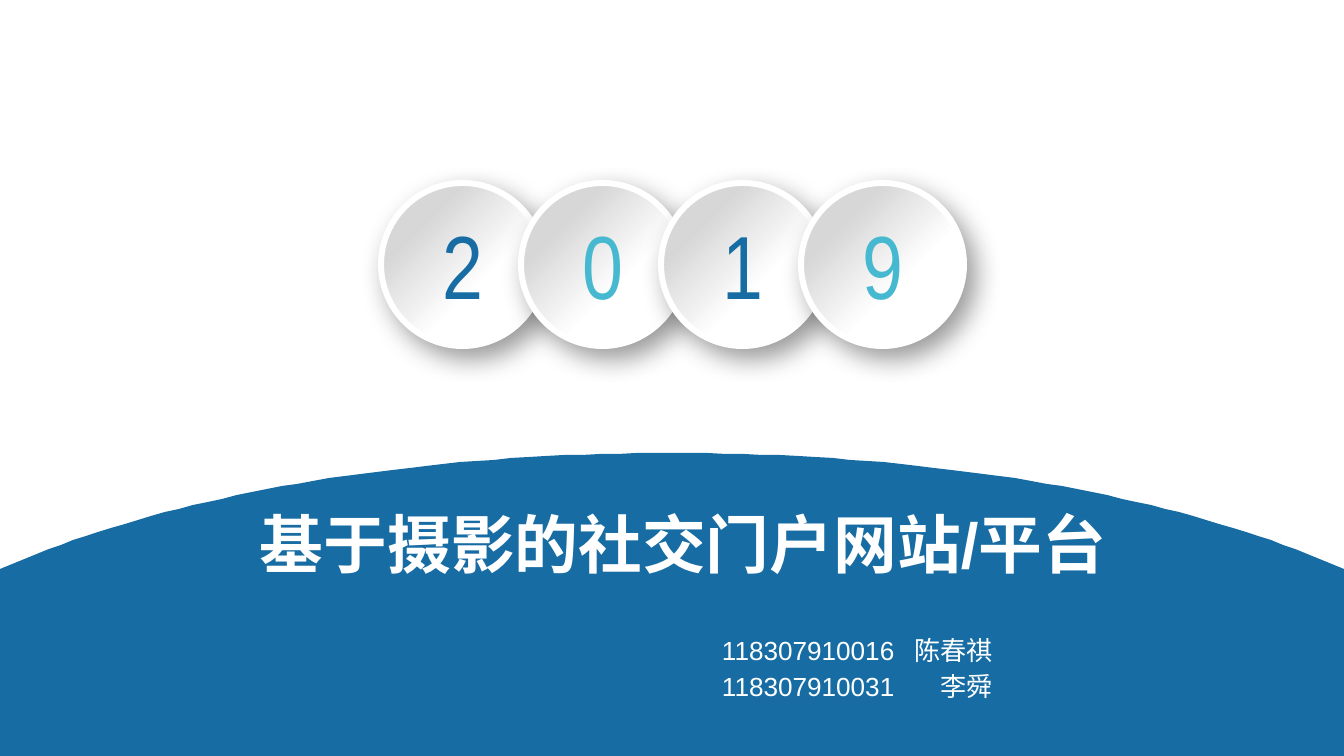
"""Build the 2019 cover slide with four number discs above a blue arc."""

import dataclasses
import typing

import lxml.etree
import pptx
import pptx.dml.color
import pptx.enum.dml
import pptx.enum.shapes
import pptx.enum.text
import pptx.oxml.ns
import pptx.util

RGBColor = pptx.dml.color.RGBColor
BLUE = RGBColor(0x16, 0x6C, 0xA3)
CYAN = RGBColor(0x46, 0xB9, 0xD0)
WHITE = RGBColor(0xFF, 0xFF, 0xFF)
GREY = RGBColor(0xD7, 0xD7, 0xD7)
BLACK = RGBColor(0x00, 0x00, 0x00)

EMU_PER_PX = 9565
SLIDE_WIDTH, SLIDE_HEIGHT = 1344, 756
ARC_CURVE = ((672, 453), (916, 453), (1136, 489), (1295, 549))
ARC_EDGE = ((1344, 569), (1344, 760))
ARC_STEPS = 40
DISC_LEFT, DISC_TOP, DISC_SIZE, DISC_PITCH = 381, 183, 163, 140
DIGIT_INSET, DIGIT_TOP, DIGIT_WIDTH, DIGIT_HEIGHT = 23, 209, 117, 109
NAME_TAB = 271

Alignment = pptx.enum.text.PP_ALIGN
Anchor = pptx.enum.text.MSO_ANCHOR


@dataclasses.dataclass(frozen=True)
class TextBlock:
    """A text box with its place in px and its formats."""

    left: int
    top: int
    width: int
    height: int
    lines: tuple[str, ...]
    font: dict[str, typing.Any]
    color: RGBColor = WHITE
    paragraph: dict[str, typing.Any] = dataclasses.field(default_factory=dict)
    frame: dict[str, typing.Any] = dataclasses.field(default_factory=dict)
    tab: int = 0


@dataclasses.dataclass(frozen=True)
class Disc:
    """One digit of the year and its colour."""

    digit: str
    color: RGBColor


DISCS = (Disc("2", BLUE), Disc("0", CYAN), Disc("1", BLUE), Disc("9", CYAN))


def px(length: int) -> int:
    """Turn px into EMU."""
    return pptx.util.Emu(length * EMU_PER_PX)


TEXT_BLOCKS = (
    TextBlock(
        373, 634, 621, 70,
        ("118307910016\t陈春祺", "118307910031\t李舜"),
        {"name": "Arial", "size": pptx.util.Pt(19.7)},
        paragraph={"alignment": Alignment.LEFT, "space_before": pptx.util.Pt(4)},
        frame={"margin_left": px(349)},
        tab=NAME_TAB,
    ),
    TextBlock(
        210, 505, 946, 77,
        ("基于摄影的社交门户网站/平台",),
        {"name": "Arial", "size": pptx.util.Pt(48), "bold": True},
        paragraph={"alignment": Alignment.CENTER, "space_before": pptx.util.Pt(9.6)},
    ),
)


def set_attributes(target: typing.Any, values: dict[str, typing.Any]) -> None:
    """Set each named format value on the target."""
    for name, value in values.items():
        setattr(target, name, value)


def add_tab_stop(paragraph: typing.Any, position: int) -> None:
    """Give the paragraph a right tab stop."""
    properties = paragraph._p.get_or_add_pPr()
    tab_list = lxml.etree.SubElement(properties, pptx.oxml.ns.qn("a:tabLst"))
    lxml.etree.SubElement(
        tab_list, pptx.oxml.ns.qn("a:tab"), pos=str(px(position)), algn="r"
    )


def add_text(shapes: typing.Any, block: TextBlock) -> None:
    """Draw a text block."""
    box = shapes.add_textbox(
        px(block.left), px(block.top), px(block.width), px(block.height)
    )
    frame = box.text_frame
    margins = {f"margin_{side}": 0 for side in ("left", "top", "right", "bottom")}
    set_attributes(frame, {
        **margins,
        "word_wrap": True,
        "auto_size": pptx.enum.text.MSO_AUTO_SIZE.SHAPE_TO_FIT_TEXT,
        **block.frame,
    })
    for index, line in enumerate(block.lines):
        paragraph = frame.add_paragraph() if index else frame.paragraphs[0]
        set_attributes(paragraph, block.paragraph)
        if block.tab:
            add_tab_stop(paragraph, block.tab)
        run = paragraph.add_run()
        run.text = line
        set_attributes(run.font, block.font)
        run.font.color.rgb = block.color


def add_arc(shapes: typing.Any) -> None:
    """Draw the blue area under a symmetric curve."""
    right_side = []
    for step in range(ARC_STEPS + 1):
        t = step / ARC_STEPS
        weights = ((1 - t) ** 3, 3 * t * (1 - t) ** 2, 3 * t * t * (1 - t), t ** 3)
        right_side.append(tuple(
            sum(weight * point[axis] for weight, point in zip(weights, ARC_CURVE))
            for axis in (0, 1)
        ))
    right_side.extend(ARC_EDGE)
    left_side = [(SLIDE_WIDTH - x, y) for x, y in reversed(right_side)]
    builder = shapes.build_freeform(*right_side[0], scale=EMU_PER_PX)
    builder.add_line_segments(right_side[1:] + left_side[:-1], close=True)
    arc = builder.convert_to_shape()
    arc.shadow.inherit = False
    arc.fill.solid()
    arc.fill.fore_color.rgb = BLUE
    arc.line.fill.background()


def add_shadow(shape: typing.Any) -> None:
    """Give the shape a soft shadow towards the lower right."""
    shape.shadow.inherit = False
    qn = pptx.oxml.ns.qn
    effects = shape._element.spPr.find(qn("a:effectLst"))
    shadow = lxml.etree.SubElement(
        effects, qn("a:outerShdw"),
        blurRad=str(pptx.util.Pt(20)), dist=str(pptx.util.Pt(10)),
        dir=str(50 * 60000), algn="tl", rotWithShape="0",
    )
    color = lxml.etree.SubElement(shadow, qn("a:srgbClr"), val=str(BLACK))
    lxml.etree.SubElement(color, qn("a:alpha"), val="40000")


def add_disc(shapes: typing.Any, disc: Disc, left: int) -> None:
    """Draw a disc grouped with its digit."""
    group = shapes.add_group_shape()
    circle = group.shapes.add_shape(
        pptx.enum.shapes.MSO_SHAPE.OVAL,
        px(left), px(DISC_TOP), px(DISC_SIZE), px(DISC_SIZE),
    )
    circle.fill.gradient()
    circle.fill.gradient_angle = 315
    stops = ((0.25, GREY), (0.62, WHITE))
    for stop, (position, color) in zip(circle.fill.gradient_stops, stops):
        stop.position = position
        stop.color.rgb = color
    circle.line.color.rgb = WHITE
    circle.line.width = pptx.util.Pt(4.5)
    add_shadow(circle)
    add_text(group.shapes, TextBlock(
        left + DIGIT_INSET, DIGIT_TOP, DIGIT_WIDTH, DIGIT_HEIGHT,
        (disc.digit,),
        {"name": "Arial Narrow", "size": pptx.util.Pt(67.5)},
        color=disc.color,
        paragraph={"alignment": Alignment.CENTER},
        frame={"vertical_anchor": Anchor.MIDDLE},
    ))


def main() -> None:
    """Build and save the presentation."""
    presentation = pptx.Presentation()
    set_attributes(presentation, {
        "slide_width": px(SLIDE_WIDTH), "slide_height": px(SLIDE_HEIGHT),
    })
    slide = presentation.slides.add_slide(presentation.slide_layouts[6])
    add_arc(slide.shapes)
    for block in TEXT_BLOCKS:
        add_text(slide.shapes, block)
    for index, disc in enumerate(DISCS):
        add_disc(slide.shapes, disc, DISC_LEFT + index * DISC_PITCH)
    presentation.save("out.pptx")


if __name__ == "__main__":
    main()
